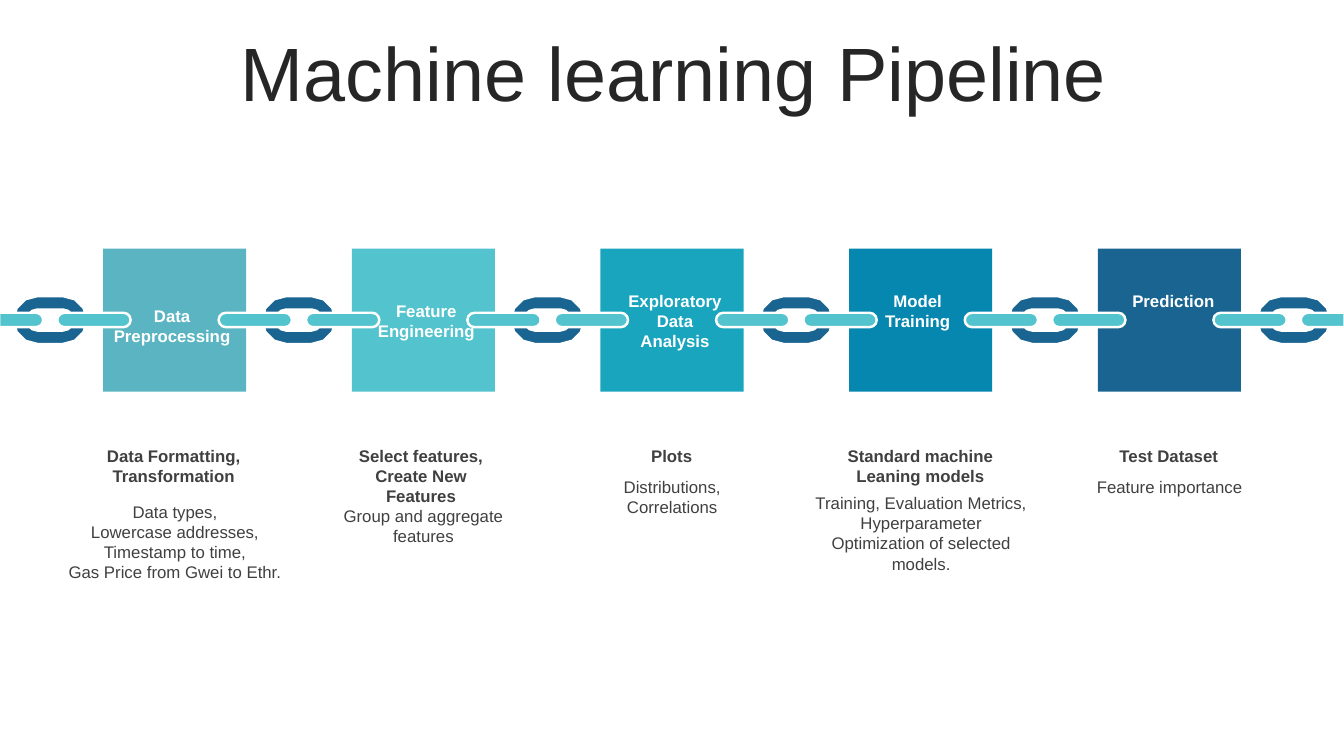
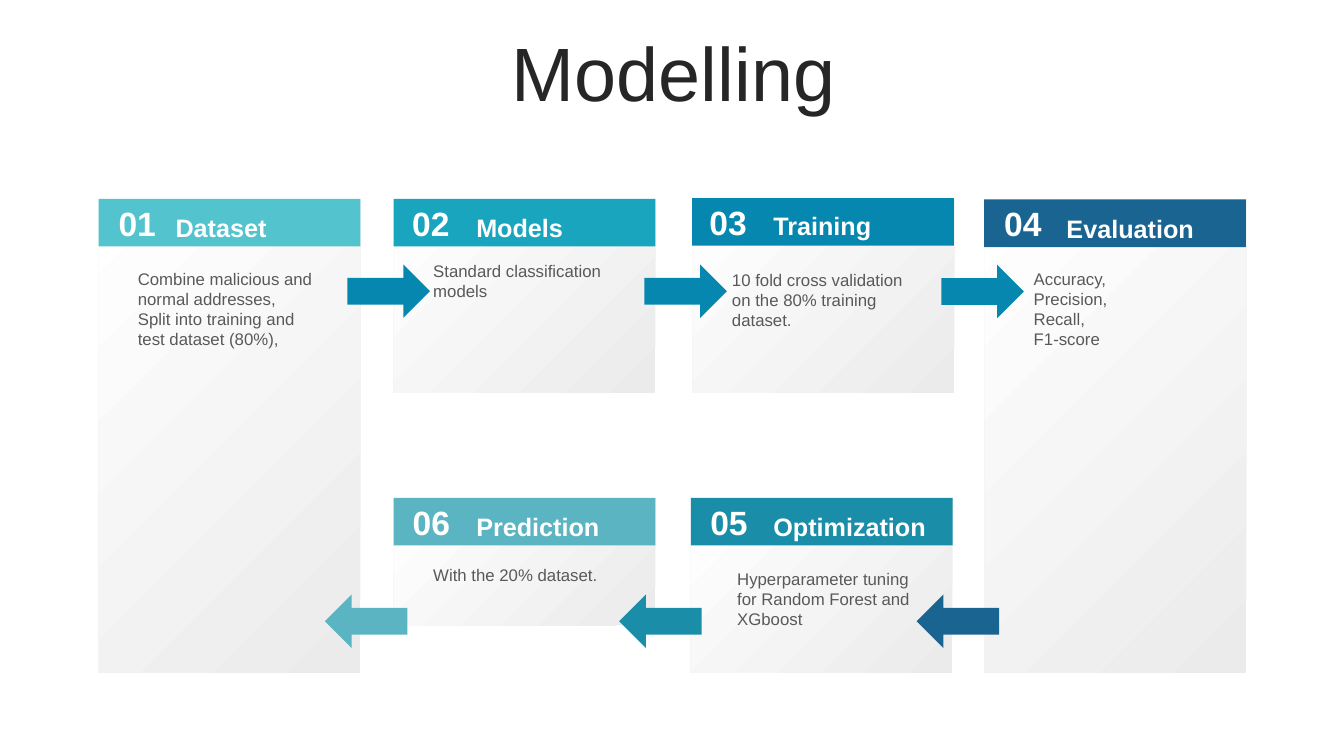
import math

import pptx
import pptx.dml.color
import pptx.enum.shapes
import pptx.enum.text
import pptx.util

Pt = pptx.util.Pt
SHAPE = pptx.enum.shapes.MSO_SHAPE
ALIGN = pptx.enum.text.PP_ALIGN
ANCHOR = pptx.enum.text.MSO_ANCHOR
FIT = pptx.enum.text.MSO_AUTO_SIZE

WIDE, HIGH = 960, 540
FONT = "Arial"
WHITE, INK, DARK, GREY = "FFFFFF", "262626", "404040", "595959"
MIST, AQUA, TEAL, PINE, BLUE, NAVY = (
    "5AB4C1", "53C3CD", "19A5BE", "1A8EA9", "0587AF", "196491")

TILE, PITCH = 102.2, 177.65
# Each text box is left, top and width from its tile, then its count of rows.
STEPS = [
    (MIST, "Data Preprocessing", (-1.4, 37, 101.5, 2),
     "Data Formatting, Transformation", (-13, 137, 127, 2),
     ["Data types,", "Lowercase addresses,", "Timestamp to time,",
      "Gas Price from Gwei to Ethr."], (-32.6, 177.2, 168, 4)),
    (AQUA, "Feature Engineering", (5.8, 33.8, 95, 2),
     "Select features, Create New Features", (-15, 137, 129, 3),
     ["Group and aggregate features"], (-32.8, 180.1, 168, 2)),
    (TEAL, "Exploratory Data Analysis", (11.5, 26.2, 83.5, 3),
     "Plots", (-12.6, 137, 127, 1),
     ["Distributions, Correlations"], (-12.4, 159.3, 127.4, 2)),
    (BLUE, "Model Training", (7.2, 26.2, 83.5, 2),
     "Standard machine Leaning models", (-12.6, 137, 127, 2),
     ["Training, Evaluation Metrics, Hyperparameter Optimization of selected models."],
     (-32.6, 170.9, 168, 4)),
    (NAVY, "Prediction", (12.2, 26.2, 83.5, 1),
     "Test Dataset", (-12.8, 137, 127, 1),
     ["Feature importance"], (-12.4, 159.3, 127.4, 1)),
]

# Each card: head corner, body box, colour, number and its corner,
# name and its corner, text lines with their corner and count of rows.
CARDS = [
    ((70.4, 142), (70.4, 143.2, 187, 337.4), AQUA, "01", (71.4, 141.4),
     "Dataset", (118.3, 148.1), (91.4, 188.4, 4),
     ["Combine malicious and normal addresses,",
      "Split into training and test dataset (80%),"]),
    ((281.1, 142), (281.1, 143.2, 187, 137.4), TEAL, "02", (281.1, 141.5),
     "Models", (333.1, 147.8), (302.4, 182.8, 2),
     ["Standard classification models"]),
    ((494.4, 141.5), (494.8, 143.2, 187, 137.4), BLUE, "03", (493.5, 140.8),
     "Training", (545.3, 146.8), (515.8, 189, 3),
     ["10 fold cross validation on the 80% training dataset."]),
    ((493.5, 355.6), (493.3, 355.8, 187, 124.8), PINE, "05", (494.1, 355.2),
     "Optimization", (545.3, 361.7), (519.5, 402.5, 3),
     ["Hyperparameter tuning for Random Forest and XGboost"]),
    ((281.1, 355.6), (281.1, 356.2, 187, 90.5), MIST, "06", (281.5, 355.2),
     "Prediction", (333.1, 361.7), (302.4, 399.6, 1),
     ["With the 20% dataset."]),
    ((703, 142.5), (703.3, 142.6, 187, 338), NAVY, "04", (704, 141.5),
     "Evaluation", (754.7, 148.9), (731.3, 188.4, 4),
     ["Accuracy,", "Precision,", "Recall,", "F1-score"]),
]

ARROWS = [  # left, top, turn, colour
    (248.2, 188.9, 0, BLUE),
    (460.2, 188.9, 0, BLUE),
    (442.2, 424.6, 180, PINE),
    (232, 424.6, 180, MIST),
    (672.4, 189.1, 0, BLUE),
    (654.7, 424.6, 180, NAVY),
]


def rgb(code):
    return pptx.dml.color.RGBColor.from_string(code)


def paint(shape, fill, line=None):
    shape.shadow.inherit = False
    shape.fill.solid()
    shape.fill.fore_color.rgb = rgb(fill)
    if line:
        shape.line.color.rgb = rgb(line)
        shape.line.width = Pt(1.75)
    else:
        shape.line.fill.background()


def add(slide, kind, box, fill, line=None):
    shape = slide.shapes.add_shape(kind, *map(Pt, box))
    paint(shape, fill, line)
    return shape


def round_box(slide, box, bend, fill, line=None):
    shape = add(slide, SHAPE.ROUNDED_RECTANGLE, box, fill, line)
    shape.adjustments[0] = bend


def write(slide, box, lines, size, tint, bold=False, align=ALIGN.CENTER):
    frame = slide.shapes.add_textbox(*map(Pt, box)).text_frame
    frame.word_wrap = True
    frame.auto_size = FIT.SHAPE_TO_FIT_TEXT
    frame.text = "\n".join(lines)
    for para in frame.paragraphs:
        para.alignment = align
        for run in para.runs:
            run.font.name = FONT
            run.font.size = Pt(size)
            run.font.bold = bold
            run.font.color.rgb = rgb(tint)
    return frame


def tall(rows):
    """Return the height of a box with this many rows of small text."""
    return 7.2 + 14.6 * rows


def start(deck, title):
    """Add a blank slide with the shared title."""
    slide = deck.slides.add_slide(deck.slide_layouts[6])
    frame = write(slide, (25.3, 26.6, 911.5, 56.9), [title], 54, INK)
    frame.auto_size = FIT.NONE
    frame.vertical_anchor = ANCHOR.MIDDLE
    frame.paragraphs[0].line_spacing = 0.9
    return slide


def pill(x, y, w, h, left=True, right=True):
    """Return the outline of a bar whose ends are round or flat."""
    rad = h / 2
    spots = []
    for end, side, is_round in ((x + w, -1, right), (x, 1, left)):
        if is_round:
            for turn in range(side * 90, side * 90 + 181, 30):
                ang = math.radians(turn)
                spots.append((end + side * rad + rad * math.cos(ang),
                              y + rad + rad * math.sin(ang)))
        else:
            spots += [(end, y + rad + side * rad), (end, y + rad - side * rad)]
    return spots


def trace(slide, loops, fill):
    """Draw closed outlines as one filled shape with a white edge."""
    loops = [[(x * 100, y * 100) for x, y in loop] for loop in loops]
    pen = slide.shapes.build_freeform(*loops[0][0], scale=Pt(1) / 100)
    for i, loop in enumerate(loops):
        if i:
            pen.move_to(*loop[0])
        pen.add_line_segments(loop[1:], close=True)
    paint(pen.convert_to_shape(), fill, WHITE)


def bar(slide, x, y, w, h):
    """Draw a round bar, cut flat where it would leave the slide."""
    bleed = 0.5
    near, far = max(x, -bleed), min(x + w, WIDE + bleed)
    if (near, far) == (x, x + w):
        round_box(slide, (x, y, w, h), 0.5, AQUA, WHITE)
    else:
        trace(slide, [pill(near, y, far - near, h, near == x, far == x + w)], AQUA)


def link(slide, x, y):
    """Draw one chain ring with the bars that pass through it."""
    w, h, rim = 52.4, 34.2, 9.6
    hole = pill(x + rim, y + rim, w - 2 * rim, h - 2 * rim)
    trace(slide, [pill(x, y, w, h), hole[::-1]], NAVY)
    for shift in (31.3, -31.1):
        bar(slide, x + shift, y + 11.9, w, 10.3)


def step(slide, x, y, data):
    """Write the label, heading and note of the tile at x, y."""
    _, label, label_at, head, head_at, note, note_at = data
    for lines, place, tint, bold in (([label], label_at, WHITE, True),
                                     (note, note_at, DARK, False),
                                     ([head], head_at, DARK, True)):
        dx, dy, wide, rows = place
        write(slide, (x + dx, y + dy, wide, tall(rows)), lines, 12, tint, bold)


def chain(deck):
    slide = start(deck, "Machine learning Pipeline")
    left, top = 73.6, 177.6
    spots = [left + PITCH * i for i in range(len(STEPS))]
    for x, data in zip(spots, STEPS):
        round_box(slide, (x, top, TILE, TILE), 0, data[0])
    for i in range(len(STEPS) + 1):
        link(slide, 9.6 + PITCH * i, 211.5)
    for x, data in zip(spots, STEPS):
        step(slide, x, top, data)


def panel(slide, box):
    body = add(slide, SHAPE.RECTANGLE, box, WHITE)
    body.fill.gradient()
    body.fill.gradient_angle = 135
    for stop, code in zip(body.fill.gradient_stops, ("EBEBEB", WHITE)):
        stop.color.rgb = rgb(code)


def label(slide, data):
    """Put the head band and the texts on a card."""
    head, _, tint, num, num_at, name, name_at, text_at, lines = data
    x, y, rows = text_at
    add(slide, SHAPE.RECTANGLE, (*head, 187, 34), tint)
    write(slide, (*num_at, 53.3, 36.4), [num], 24, WHITE, True)
    write(slide, (*name_at, 129, 29.1), [name], 18, WHITE, True, ALIGN.LEFT)
    write(slide, (x, y, 144, tall(rows)), lines, 12, GREY, align=ALIGN.LEFT)


def model(deck):
    slide = start(deck, "Modelling")
    for data in CARDS:
        panel(slide, data[1])
    for x, y, turn, tint in ARROWS:
        arrow = add(slide, SHAPE.RIGHT_ARROW, (x, y, 59, 38.2), tint)
        arrow.rotation = turn
    for data in CARDS:
        label(slide, data)


def main():
    deck = pptx.Presentation()
    deck.slide_width, deck.slide_height = Pt(WIDE), Pt(HIGH)
    chain(deck)
    model(deck)
    deck.save("out.pptx")


if __name__ == "__main__":
    main()
